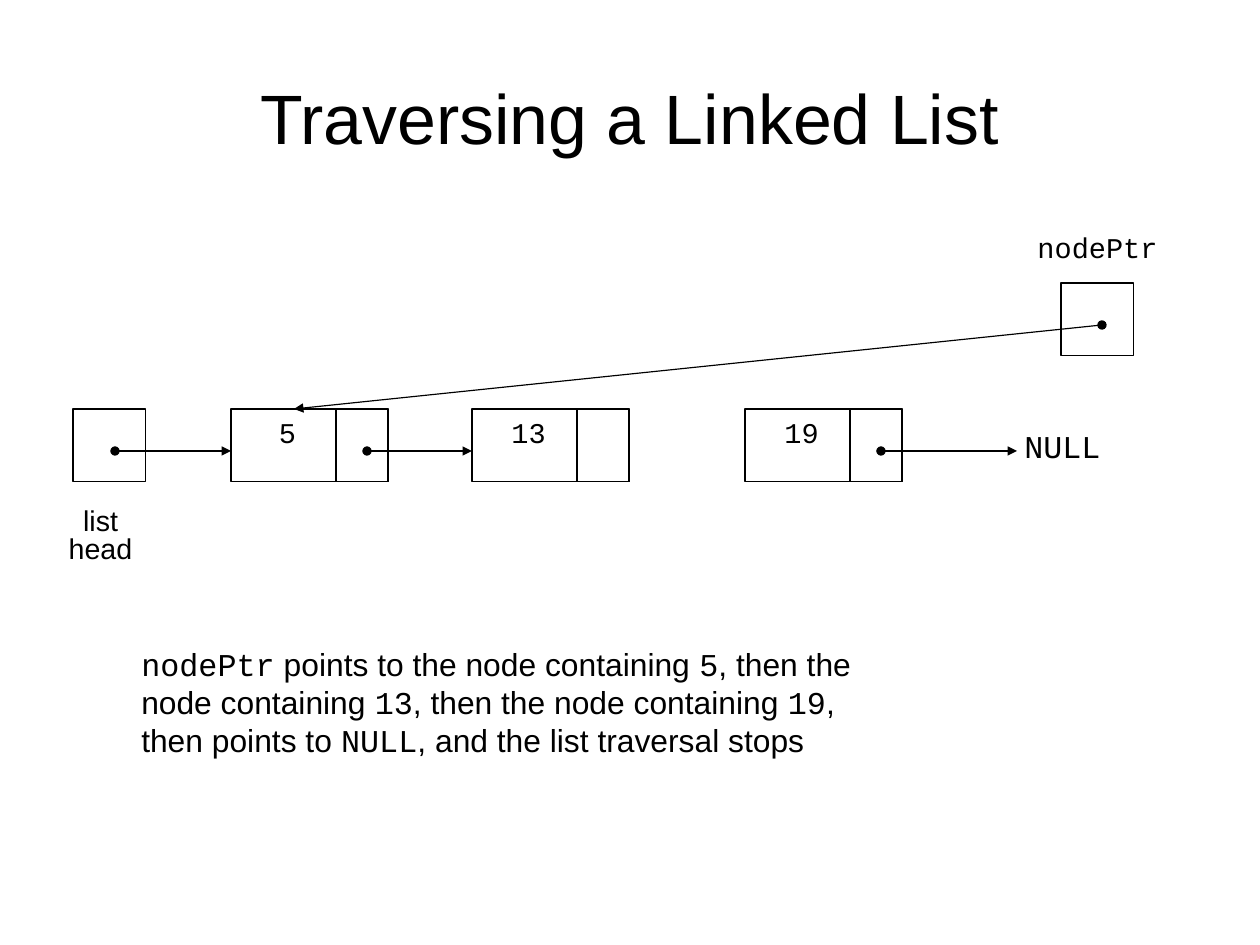
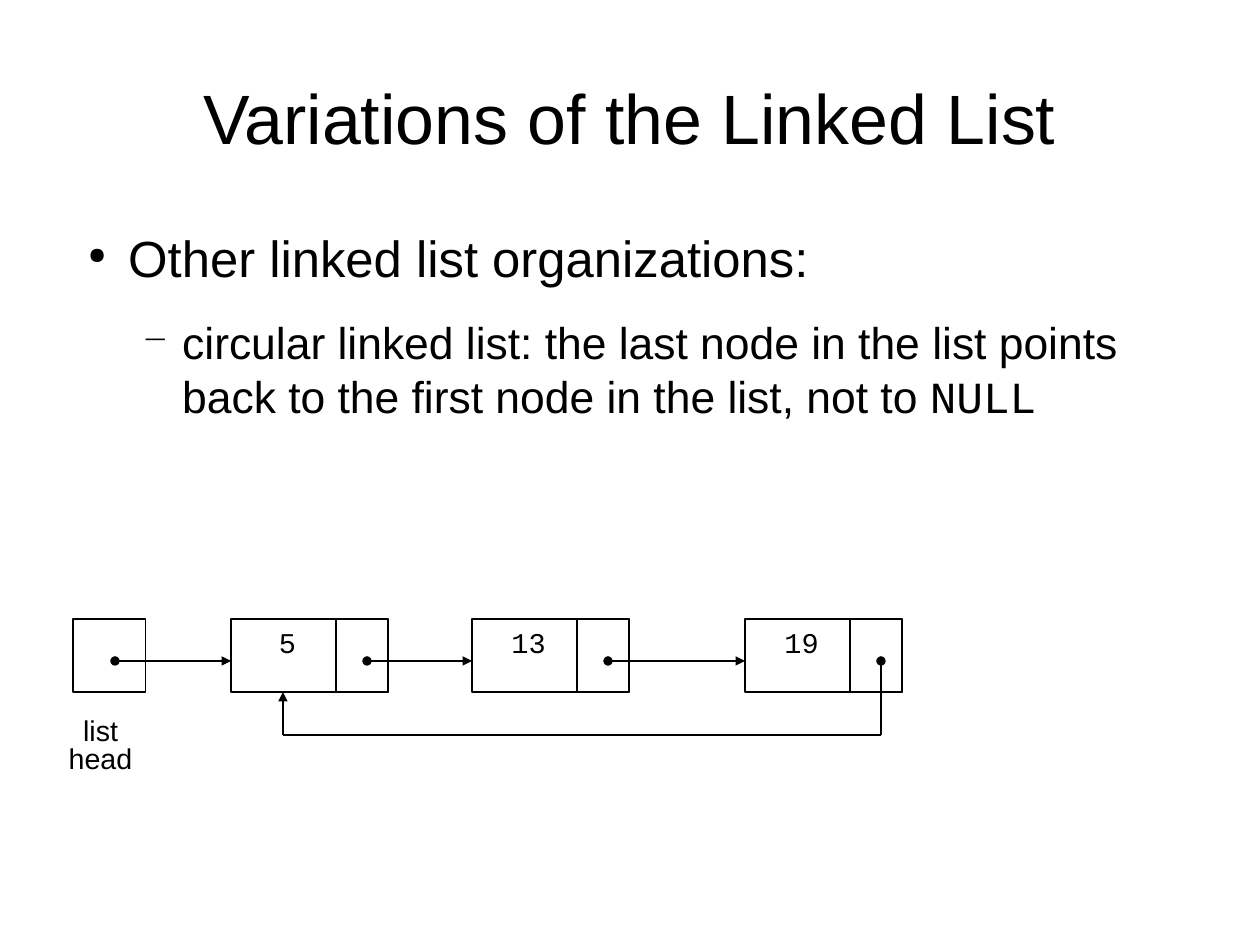
import pptx
import pptx.util
import pptx.dml.color
import pptx.enum.shapes
import pptx.enum.text
import pptx.oxml.ns
from lxml import etree

ALIGN = pptx.enum.text.PP_ALIGN
SIDE = 73
CELL = 105
NODES = ((231, "5"), (472, "13"), (745, "19"))


def px(num):
    return pptx.util.Emu(num * 8000)


def color(code):
    return pptx.dml.color.RGBColor.from_string(code)


def child(parent, tag, **attrs):
    return etree.SubElement(parent, pptx.oxml.ns.qn(tag), **attrs)


class Deck:
    ink = "000000"
    sans = "Arial"
    mono = "Courier New"

    def __init__(self):
        self.prs = pptx.Presentation()
        self.prs.slide_width = px(1260)
        self.prs.slide_height = px(945)
        self.slide = None

    def style(self, font, size, face):
        font.size = pptx.util.Pt(size)
        font.name = face
        font.color.rgb = color(self.ink)

    def page(self, text):
        self.slide = self.prs.slides.add_slide(self.prs.slide_layouts[5])
        title = self.slide.shapes.title
        title.left, title.top, title.width, title.height = map(px, (63, 38, 1134, 158))
        frame = title.text_frame
        frame.text = text
        frame.auto_size = pptx.enum.text.MSO_AUTO_SIZE.NONE
        frame.vertical_anchor = pptx.enum.text.MSO_ANCHOR.MIDDLE
        par = frame.paragraphs[0]
        par.alignment = ALIGN.CENTER
        self.style(par.runs[0].font, 44, self.sans)

    def frame(self, x, y, w, h, wrap):
        frame = self.slide.shapes.add_textbox(px(x), px(y), px(w), px(h)).text_frame
        frame.word_wrap = wrap
        return frame

    def label(self, text, x, y, w, h, size=18, face=mono, space=1.0):
        frame = self.frame(x, y, w, h, False)
        frame.text = text
        for par in frame.paragraphs:
            par.alignment = ALIGN.CENTER
            par.line_spacing = space
            self.style(par.runs[0].font, size, face)

    def mixed(self, par, text, size):
        """Fill a paragraph; parts between backticks are set as code."""
        for num, part in enumerate(text.split("`")):
            if part:
                run = par.add_run()
                run.text = part
                self.style(run.font, size, self.mono if num % 2 else self.sans)

    def prose(self, lines, x, y, w, h, size):
        frame = self.frame(x, y, w, h, True)
        for num, line in enumerate(lines):
            par = frame.add_paragraph() if num else frame.paragraphs[0]
            self.mixed(par, line, size)

    def bullets(self, items, x, y, w, h):
        """Items are (text, size, mark, mark percent), one level deeper each."""
        frame = self.frame(x, y, w, h, True)
        for level, (text, size, mark, part) in enumerate(items):
            par = frame.add_paragraph() if level else frame.paragraphs[0]
            par.level = level
            if level:
                par.space_before = pptx.util.Pt(17.5)
            props = par._p.get_or_add_pPr()
            props.set("marL", str(px(54 * (level + 1))))
            props.set("indent", str(px(-40)))
            child(child(props, "a:buClr"), "a:srgbClr", val=self.ink)
            child(props, "a:buSzPct", val=str(part * 1000))
            child(props, "a:buChar", char=mark)
            self.mixed(par, text, size)

    def box(self, x, y, w=SIDE, h=SIDE):
        kind = pptx.enum.shapes.MSO_SHAPE.RECTANGLE
        shape = self.slide.shapes.add_shape(kind, px(x), px(y), px(w), px(h))
        shape.shadow.inherit = False
        shape.fill.background()
        shape.line.color.rgb = color(self.ink)
        shape.line.width = pptx.util.Pt(0.75)

    def line(self, x1, y1, x2, y2, dot=True, tip=True):
        kind = pptx.enum.shapes.MSO_CONNECTOR.STRAIGHT
        link = self.slide.shapes.add_connector(kind, px(x1), px(y1), px(x2), px(y2))
        link.line.color.rgb = color(self.ink)
        link.line.width = pptx.util.Pt(0.75)
        stroke = link.line._get_or_add_ln()
        if dot:
            child(stroke, "a:headEnd", type="oval")
        if tip:
            child(stroke, "a:tailEnd", type="triangle")
        child(link._element.spPr, "a:effectLst")

    def chain(self, y, links):
        """Draw the list head and nodes; links are (start, end) of the arrows."""
        self.box(73, y)
        for x, _ in NODES:
            self.box(x, y, 157)
        for x, _ in NODES:
            self.box(x + CELL, y, 52)
        for start, end in links:
            self.line(start, y + 42, end, y + 42)
        self.label("list\nhead", 31, y + 95, 139, 66, face=self.sans, space=0.8)
        for x, text in NODES:
            self.label(text, x + 28, y, 57, 46)


def main():
    deck = Deck()
    first, mid, last = [x for x, _ in NODES]
    port = 136
    start = [(115, first), (first + port, mid)]

    deck.page("Traversing a Linked List")
    row = 409
    deck.chain(row, start + [(last + port, 1017)])
    deck.label("NULL", 1013, 414, 99, 57, size=20, space=1.2)
    deck.box(1061, 283)
    deck.line(1102, 325, 294, row)
    deck.label("nodePtr", 1026, 231, 143, 39, space=0.8)
    deck.prose((
        "`nodePtr` points to the node containing `5`, then the",
        "node containing `13`, then the node containing `19`,",
        "then points to `NULL`, and the list traversal stops",
    ), 130, 639, 770, 126, 20)

    deck.page("Variations of the Linked List")
    deck.bullets((
        ("Other linked list organizations:", 32, "●", 45),
        ("circular linked list: the last node in the list points back to "
         "the first node in the list, not to `NULL`", 28, "−", 75),
    ), 63, 221, 1134, 624)
    row = 619
    deck.chain(row, start + [(mid + port, last)])
    out, back, low = last + port, first + 52, row + 116
    deck.line(out, row + 42, out, low, tip=False)
    deck.line(out, low, back, low, dot=False, tip=False)
    deck.line(back, low, back, row + SIDE, dot=False)

    deck.prs.save("out.pptx")


if __name__ == "__main__":
    main()
